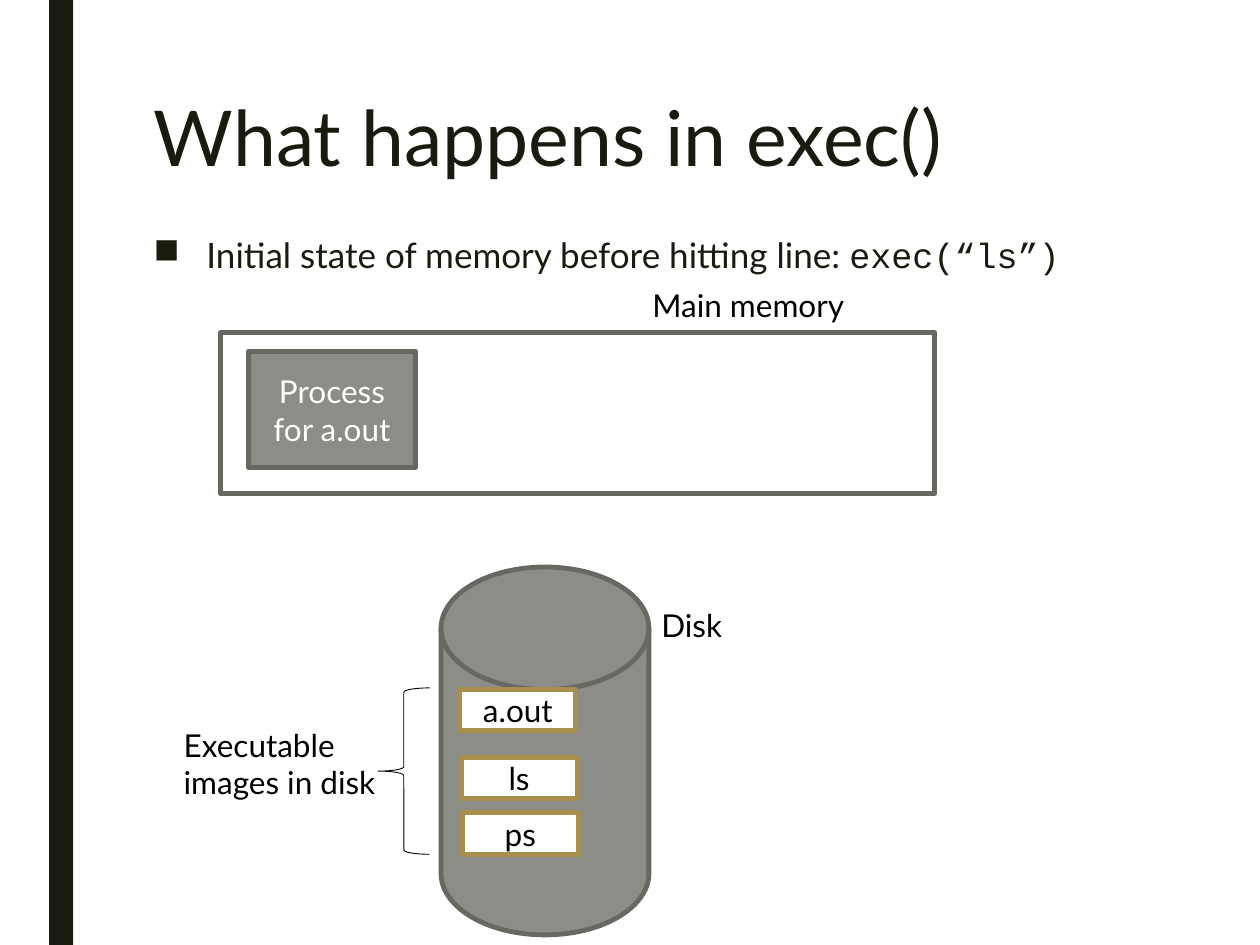
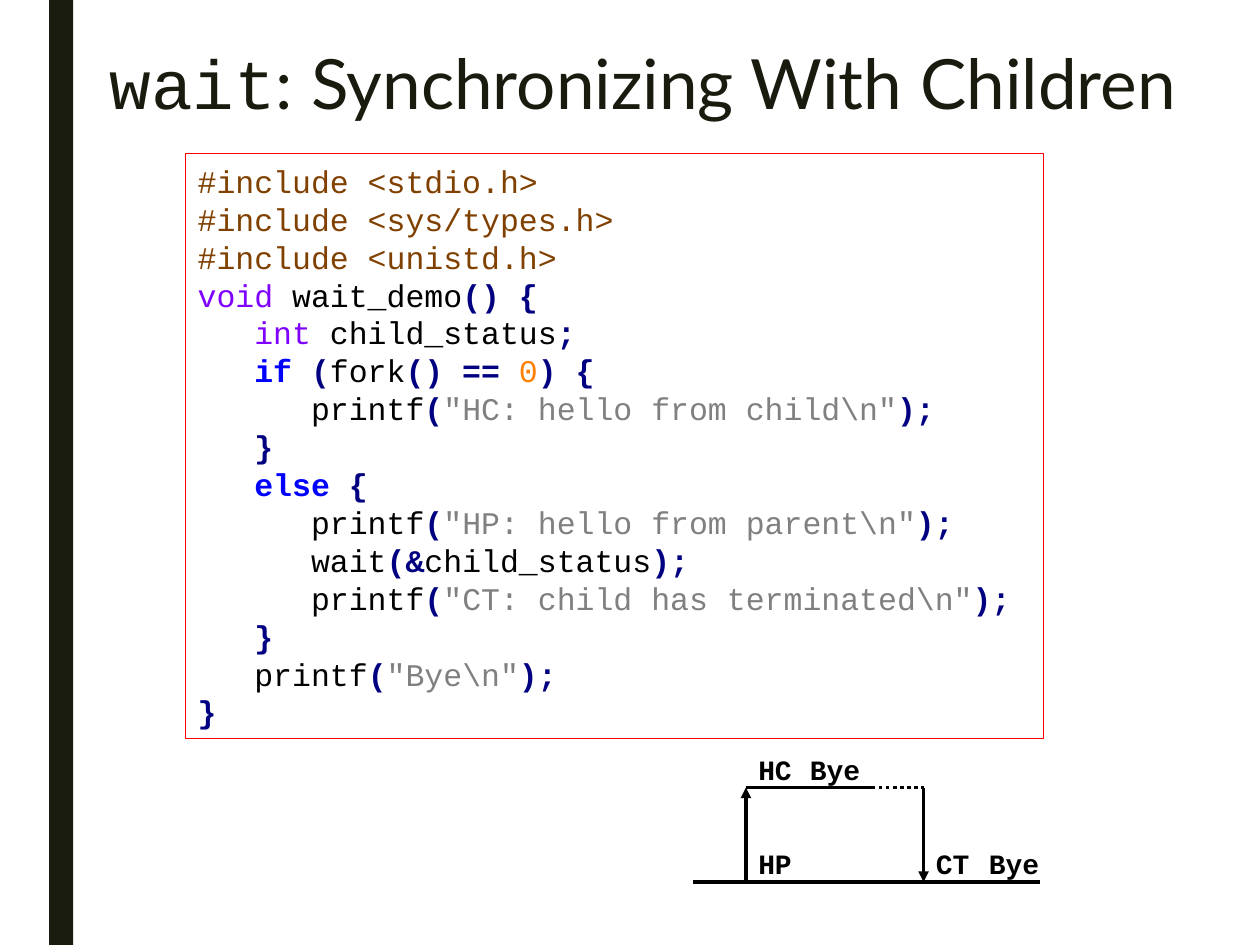
import dataclasses
import itertools

import lxml.etree
import pptx
import pptx.dml.color
import pptx.enum.dml
import pptx.enum.shapes
import pptx.enum.text
import pptx.oxml.ns
import pptx.presentation
import pptx.shapes.autoshape
import pptx.shapes.connector
import pptx.slide
import pptx.text.text
import pptx.util

Inches = pptx.util.Inches
Pt = pptx.util.Pt
Preset = pptx.enum.shapes.MSO_SHAPE
Align = pptx.enum.text.PP_ALIGN
Anchor = pptx.enum.text.MSO_ANCHOR

SANS = "Lato"
MONO = "Courier New"
INK = "191B0E"
BLACK = "000000"
WHITE = "FFFFFF"
GRAY = "8C8D86"
GRAY_EDGE = "686863"
GOLD = "AA8E4E"
RED = "FF0000"
TITLE_SPACING = 0.89


@dataclasses.dataclass(frozen=True)
class Area:
    left: float
    top: float
    width: float
    height: float

    def lengths(self) -> tuple[pptx.util.Length, ...]:
        return tuple(Inches(value) for value in dataclasses.astuple(self))


@dataclasses.dataclass(frozen=True)
class Span:
    text: str
    color: str = BLACK
    bold: bool = False
    font: str = SANS


@dataclasses.dataclass(frozen=True)
class Box:
    area: Area
    fill: str | None = WHITE
    edge: str | None = GRAY_EDGE
    weight: float = 2.75
    preset: Preset = Preset.RECTANGLE
    text: str = ""
    color: str = BLACK


@dataclasses.dataclass(frozen=True)
class Label:
    text: str
    area: Area


def rgb(color: str) -> pptx.dml.color.RGBColor:
    return pptx.dml.color.RGBColor.from_string(color)


def write_text(
    frame: pptx.text.text.TextFrame,
    lines: list[list[Span]],
    *,
    size: float = 18,
    align: Align = Align.LEFT,
    anchor: Anchor = Anchor.TOP,
    spacing: float | pptx.util.Length = 1.0,
    wrap: bool = True,
) -> None:
    frame.word_wrap = wrap
    frame.auto_size = pptx.enum.text.MSO_AUTO_SIZE.NONE
    frame.vertical_anchor = anchor
    for index, line in enumerate(lines):
        para = frame.add_paragraph() if index else frame.paragraphs[0]
        para.alignment = align
        para.line_spacing = spacing
        for span in line:
            run = para.add_run()
            run.text = span.text
            run.font.name = span.font
            run.font.size = Pt(size)
            run.font.bold = span.bold
            run.font.color.rgb = rgb(span.color)


def add_box(page: pptx.slide.Slide, box: Box) -> pptx.shapes.autoshape.Shape:
    shape = page.shapes.add_shape(box.preset, *box.area.lengths())
    shape.shadow.inherit = False
    if box.fill:
        shape.fill.solid()
        shape.fill.fore_color.rgb = rgb(box.fill)
    else:
        shape.fill.background()
    if box.edge:
        shape.line.color.rgb = rgb(box.edge)
        shape.line.width = Pt(box.weight)
    else:
        shape.line.fill.background()
    if box.text:
        write_text(
            shape.text_frame,
            [[Span(box.text, box.color)]],
            align=Align.CENTER,
            anchor=Anchor.MIDDLE,
        )
    return shape


def add_label(
    page: pptx.slide.Slide,
    area: Area,
    spans: list[Span],
    *,
    size: float = 18,
    spacing: float = 1.0,
    wrap: bool = True,
) -> pptx.text.text.TextFrame:
    frame = page.shapes.add_textbox(*area.lengths()).text_frame
    write_text(frame, [spans], size=size, spacing=spacing, wrap=wrap)
    return frame


def add_line(
    page: pptx.slide.Slide,
    start: tuple[float, float],
    end: tuple[float, float],
    *,
    arrow: bool = False,
    dotted: bool = False,
) -> pptx.shapes.connector.Connector:
    points = [Inches(value) for value in (*start, *end)]
    line = page.shapes.add_connector(
        pptx.enum.shapes.MSO_CONNECTOR.STRAIGHT, *points
    )
    line.line.color.rgb = rgb(BLACK)
    line.line.width = Pt(2)
    if dotted:
        line.line.dash_style = pptx.enum.dml.MSO_LINE.ROUND_DOT
    if arrow:
        outline = line.line._get_or_add_ln()
        tail = lxml.etree.SubElement(outline, pptx.oxml.ns.qn("a:tailEnd"))
        tail.set("type", "triangle")
    lxml.etree.SubElement(
        line._element.spPr, pptx.oxml.ns.qn("a:effectLst")
    )
    return line


def add_page(
    deck: pptx.presentation.Presentation,
    title: list[Span],
    area: Area,
    size: float,
) -> pptx.slide.Slide:
    page = deck.slides.add_slide(deck.slide_layouts.get_by_name("Title Only"))
    add_box(page, Box(Area(0.39, 0, 0.19, 7.5), fill=INK, edge=None))
    heading = page.shapes.title
    heading.left, heading.top, heading.width, heading.height = area.lengths()
    write_text(heading.text_frame, title, size=size, spacing=TITLE_SPACING)
    return page


def set_bullet(para: pptx.text.text._Paragraph, indent: float) -> None:
    properties = para._p.get_or_add_pPr()
    properties.set("marL", str(Inches(indent)))
    properties.set("indent", str(-Inches(indent)))
    bullet = lxml.etree.SubElement(properties, pptx.oxml.ns.qn("a:buChar"))
    bullet.set("char", "■")


def build_exec_page(deck: pptx.presentation.Presentation) -> None:
    title = [[Span("What happens in exec()", INK)]]
    page = add_page(deck, title, Area(1.12, 0.75, 7.88, 0.92), 44)
    body = add_label(
        page,
        Area(1.12, 1.83, 7.88, 4.58),
        [
            Span("Initial state of memory before hitting line: ", INK),
            Span("exec(“ls”)", INK, font=MONO),
        ],
        size=20,
        spacing=0.94,
    )
    set_bullet(body.paragraphs[0], 0.42)

    memory = Box(Area(1.75, 2.64, 5.67, 1.28))
    process = Box(
        Area(1.97, 2.79, 1.33, 0.92),
        fill=GRAY,
        text="Process for a.out",
        color=WHITE,
    )
    disk = Box(
        Area(3.5, 4.5, 1.65, 2.92),
        fill=GRAY,
        preset=Preset.FLOWCHART_MAGNETIC_DISK,
    )
    brace = Box(
        Area(3, 5.46, 0.41, 1.32),
        fill=None,
        edge=BLACK,
        weight=0.5,
        preset=Preset.LEFT_BRACE,
    )
    images = [
        Box(Area(left, top, 0.92, 0.33), edge=GOLD, text=name)
        for name, left, top in (
            ("a.out", 3.65, 5.47),
            ("ls", 3.66, 6.01),
            ("ps", 3.67, 6.45),
        )
    ]
    for box in (memory, process, disk, brace, *images):
        add_box(page, box)

    for label in (
        Label("Main memory", Area(5.08, 2.22, 1.92, 0.4)),
        Label("Executable images in disk", Area(1.36, 5.71, 1.8, 0.71)),
        Label("Disk", Area(5.15, 4.76, 0.93, 0.4)),
    ):
        add_label(page, label.area, [Span(label.text)])


def plain(text: str) -> Span:
    return Span(text, font=MONO)


def include(header: str) -> list[Span]:
    return [Span(f"#include <{header}>", "804000", font=MONO)]


def type_name(text: str) -> Span:
    return Span(text, "8000FF", font=MONO)


def keyword(text: str) -> Span:
    return Span(text, "0000FF", True, MONO)


def mark(text: str) -> Span:
    return Span(text, "000080", True, MONO)


def print_call(indent: str, message: str) -> list[Span]:
    literal = Span(f'"{message}\\n"', "808080", font=MONO)
    return [plain(f"{indent}printf"), mark("("), literal, mark(");")]


def wait_demo_code() -> list[list[Span]]:
    step = "   "
    inner = step * 2
    closing = [plain(step), mark("}")]
    return [
        include("stdio.h"),
        include("sys/types.h"),
        include("unistd.h"),
        [type_name("void"), plain(" wait_demo"), mark("() {")],
        [plain(step), type_name("int"), plain(" child_status"), mark(";")],
        [plain(step), keyword("if"), mark(" ("), plain("fork"),
         mark("() == "), Span("0", "FF8000", font=MONO), mark(") {")],
        print_call(inner, "HC: hello from child"),
        closing,
        [plain(step), keyword("else"), mark(" {")],
        print_call(inner, "HP: hello from parent"),
        [plain(f"{inner}wait"), mark("(&"), plain("child_status"), mark(");")],
        print_call(inner, "CT: child has terminated"),
        closing,
        print_call(step, "Bye"),
        [mark("}")],
    ]


def build_wait_page(deck: pptx.presentation.Presentation) -> None:
    title = [[Span("wait", INK, font=MONO),
              Span(": Synchronizing With Children", INK)]]
    page = add_page(deck, title, Area(0.77, 0.35, 9.08, 0.63), 39.6)
    listing = add_box(
        page, Box(Area(1.47, 1.22, 6.81, 4.64), edge=RED, weight=0.75)
    )
    write_text(
        listing.text_frame,
        wait_demo_code(),
        anchor=Anchor.MIDDLE,
        spacing=Pt(21.65),
    )

    parent_y, child_y = 7, 6.25
    times = [5.5, 5.92, 6.33, 6.92, 7.33, 7.75, 8.25]
    fork, child_bye, child_exit, join, parent_bye = times[1:6]
    for start, end in itertools.pairwise(times):
        add_line(page, (start, parent_y), (end, parent_y))
    for start, end in itertools.pairwise((fork, child_bye, child_exit)):
        add_line(page, (start, child_y), (end, child_y))
    add_line(page, (child_exit, child_y), (join, child_y), dotted=True)
    add_line(page, (fork, parent_y), (fork, child_y), arrow=True)
    add_line(page, (join, child_y), (join, parent_y), arrow=True)

    for text, left, line_y in (
        ("HP", fork, parent_y),
        ("HC", fork, child_y),
        ("Bye", child_bye, child_y),
        ("CT", join, parent_y),
        ("Bye", parent_bye, parent_y),
    ):
        width = 0.2 + 0.135 * len(text)
        area = Area(left, line_y - 0.33, width, 0.37)
        span = Span(text, bold=True, font=MONO)
        add_label(page, area, [span], size=16, wrap=False)


def main() -> None:
    deck = pptx.Presentation()
    deck.slide_width = Inches(10)
    deck.slide_height = Inches(7.5)
    build_exec_page(deck)
    build_wait_page(deck)
    deck.save("out.pptx")


if __name__ == "__main__":
    main()
